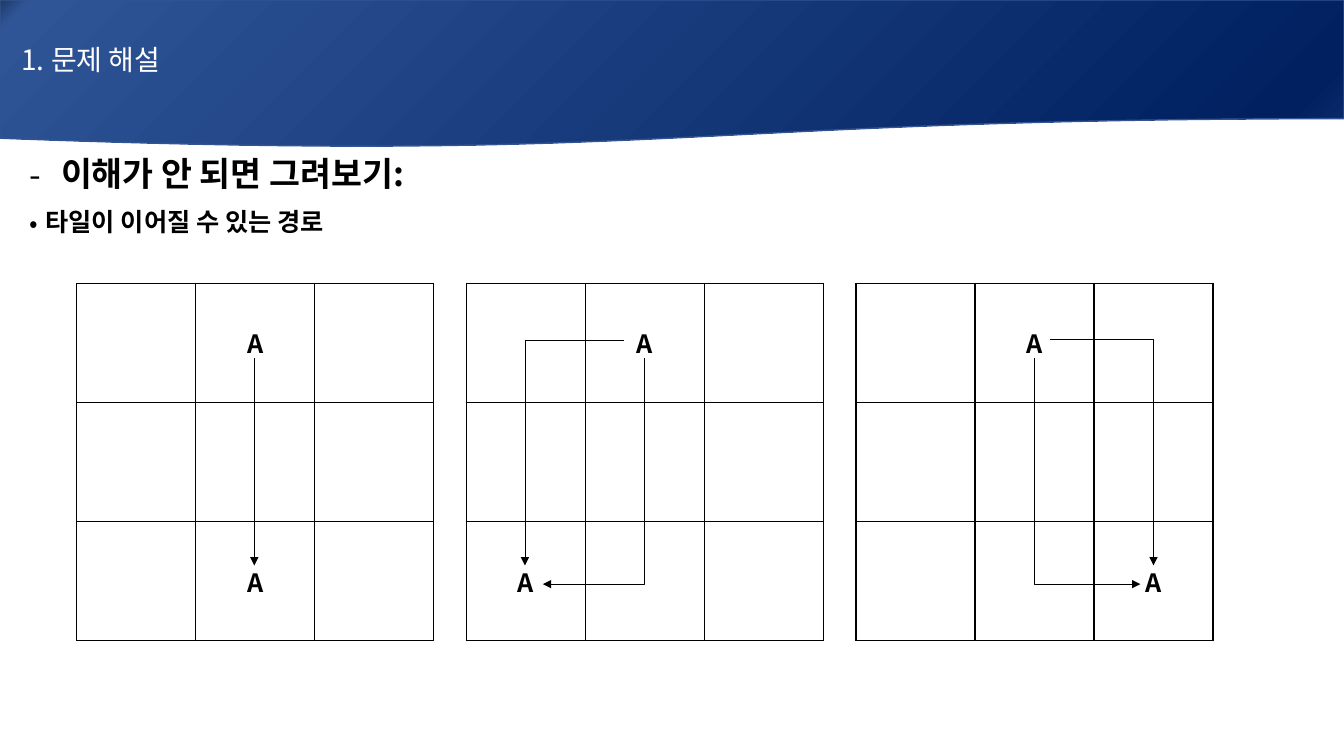
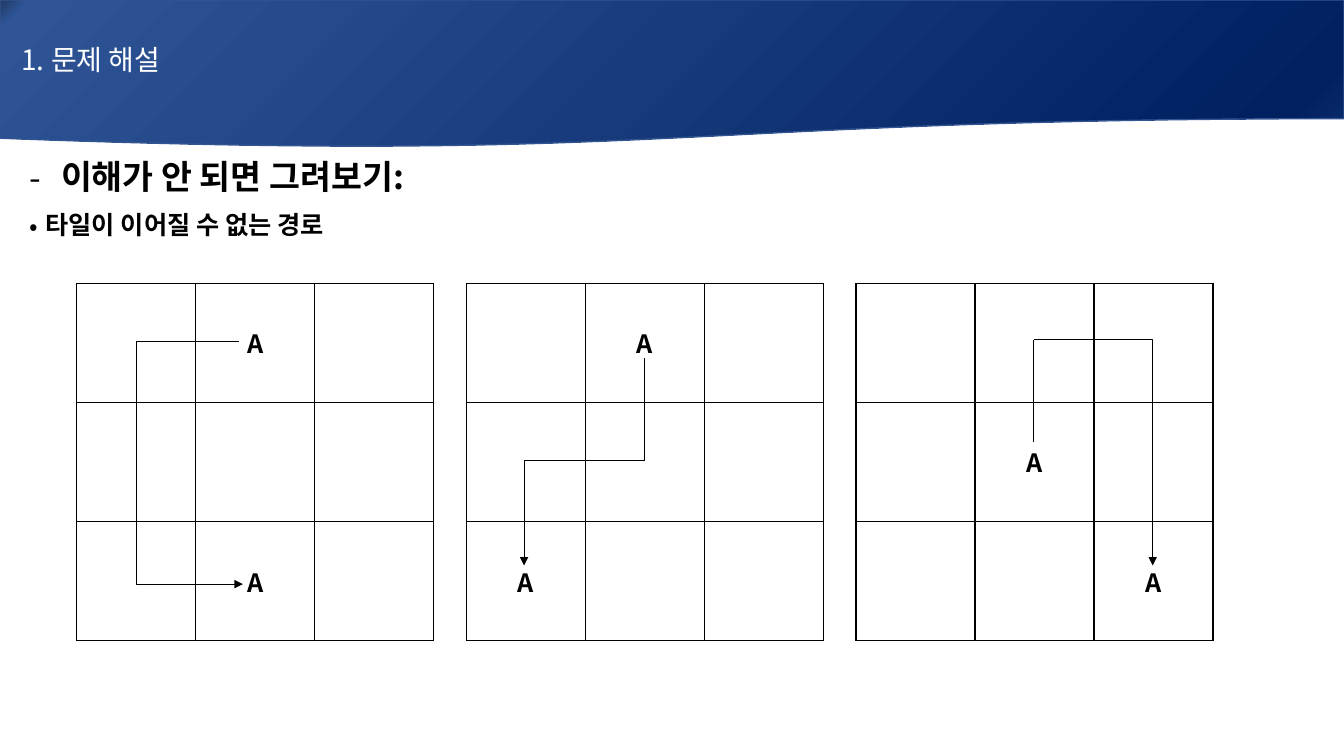
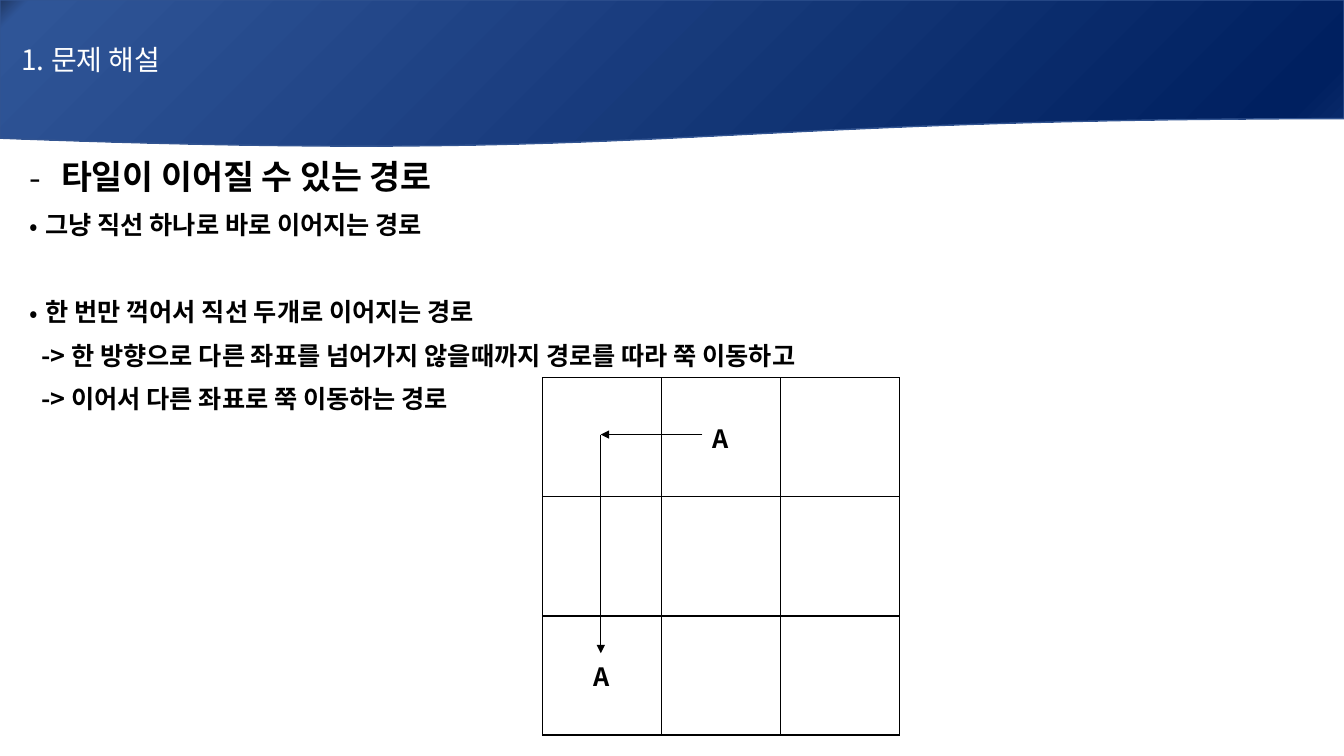
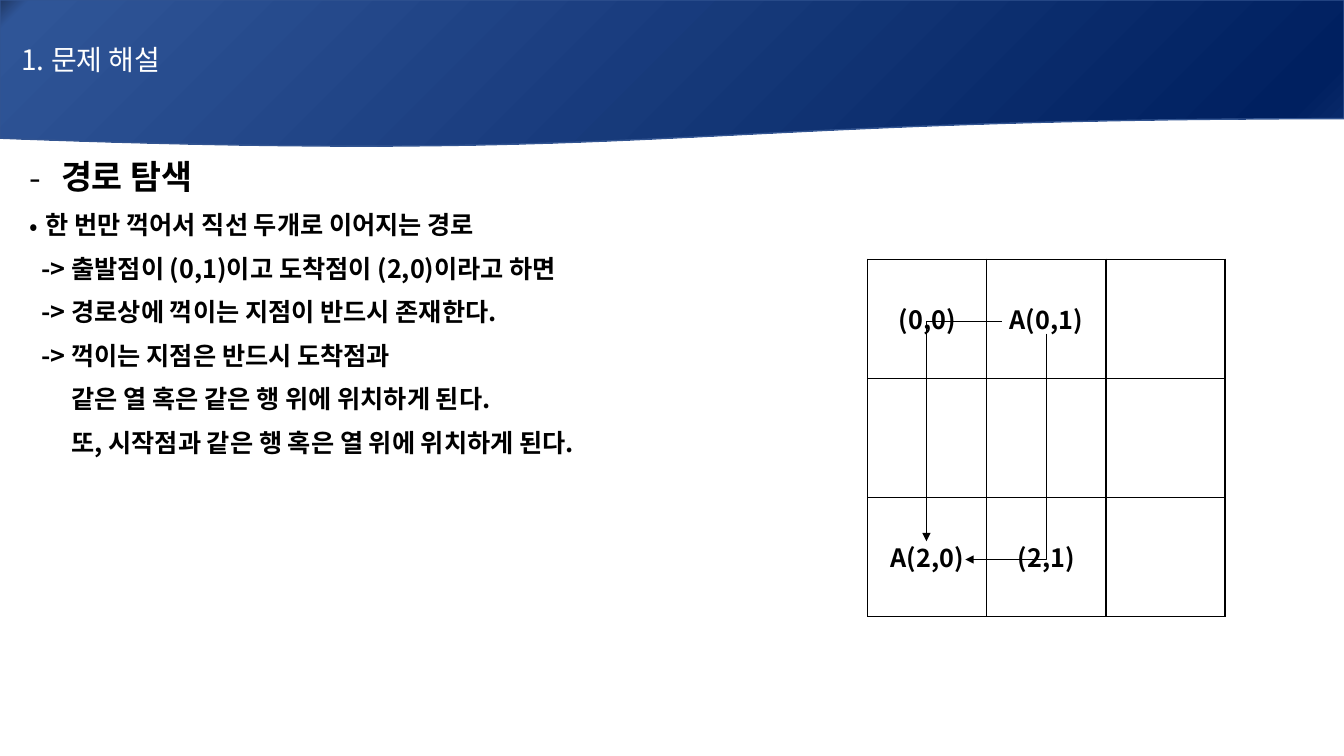
from lxml import etree
from pptx import Presentation
from pptx.dml.color import RGBColor
from pptx.enum.shapes import MSO_CONNECTOR, MSO_SHAPE
from pptx.enum.text import MSO_ANCHOR, PP_ALIGN
from pptx.oxml.ns import qn
from pptx.util import Cm, Pt

STRAIGHT, ELBOW = MSO_CONNECTOR.STRAIGHT, MSO_CONNECTOR.ELBOW
WAVE = MSO_SHAPE.FLOWCHART_DOCUMENT
MIDDLE = MSO_ANCHOR.MIDDLE
LEFT, CENTER, JUSTIFY = PP_ALIGN.LEFT, PP_ALIGN.CENTER, PP_ALIGN.JUSTIFY

FONT = "Noto Sans CJK KR"
BLACK, WHITE, BAND_EDGE = "000000", "FFFFFF", "325491"
BAND_STOPS = [(0, "203864"), (2, "2F5597"), (94, "002060"), (100, "0D2E6F")]
SLIDE_W, SLIDE_H = 33.87, 19.05
BAND_H, TITLE_H = 3.73, 3.0
CELL, CELLS = 3.0, 3
TRIO_LEFT, TRIO_TOP, TRIO_PITCH = 1.93, 7.14, 9.82
TITLE = "1. 문제 해설"

LINE_STYLES = {
    "heading": {"size": 24, "margin": 0.79, "hang": 0.79, "bullet": "-"},
    "point": {"size": 18, "margin": 0.4, "hang": 0.4, "bullet": "•"},
    "step": {"size": 18, "margin": 0.3, "hang": 0, "bullet": None},
    "more": {"size": 18, "margin": 1.05, "hang": 0, "bullet": None},
}

A_TOP = {(0, 1): "A"}
A_BOTTOM_LEFT = {**A_TOP, (2, 0): "A"}
A_BOTTOM_MID = {**A_TOP, (2, 1): "A"}
A_BOTTOM_RIGHT = {**A_TOP, (2, 2): "A"}

LINKED = [
    (A_BOTTOM_MID, [("straight", 4.48, 1.88, 4.48, 7.11, True)]),
    (A_BOTTOM_LEFT, [("down", 4.5, 1.88, 1.93, 7.58, True),
                     ("across", 3.97, 1.45, 1.48, 7.11, True)]),
    (A_BOTTOM_RIGHT, [("down", 4.5, 1.88, 7.17, 7.58, True),
                      ("across", 4.88, 1.42, 7.5, 7.11, True)]),
]
UNLINKED = [
    (A_BOTTOM_MID, [("straight", 4.09, 1.45, 1.5, 1.45, False),
                    ("down", 1.5, 1.45, 4.19, 7.58, True)]),
    (A_BOTTOM_LEFT, [("straight", 4.5, 1.88, 4.5, 4.47, False),
                     ("across", 4.5, 4.47, 1.46, 7.11, True)]),
    ({(1, 1): "A", (2, 2): "A"}, [("straight", 4.48, 3.99, 4.48, 1.42, False),
                                  ("across", 4.48, 1.42, 7.48, 7.11, True)]),
]
ONE_TURN = (A_BOTTOM_LEFT, [("straight", 1.47, 1.43, 1.47, 6.94, True),
                            ("straight", 4.03, 1.43, 1.47, 1.43, True)])
COORDINATES = (
    {(0, 0): "(0,0)", (0, 1): "A(0,1)", (2, 0): "A(2,0)", (2, 1): "(2,1)"},
    [("down", 4.5, 1.88, 2.46, 7.57, True),
     ("across", 3.38, 1.56, 1.48, 7.11, True)],
)


def rgb(hex_code):
    """Turn a hex string into a colour."""
    return RGBColor.from_string(hex_code)


def add(parent, tag, **attributes):
    """Append a drawing element to its parent."""
    child = etree.SubElement(parent, qn(tag))
    for key, value in attributes.items():
        child.set(key, str(value))
    return child


def add_solid(parent, hex_code):
    """Append a solid fill."""
    add(add(parent, "a:solidFill"), "a:srgbClr", val=hex_code)


def write(paragraph, text, size, color=BLACK, bold=True):
    """Write one styled run into a paragraph."""
    run = paragraph.add_run()
    run.text = text
    formats = {"size": Pt(size), "bold": bold, "name": FONT}
    for key, value in formats.items():
        setattr(run.font, key, value)
    run.font.color.rgb = rgb(color)
    add(run.font._element, "a:ea", typeface=FONT)


def add_band(slide):
    """Draw the wave band and set the title upon it."""
    band = slide.shapes.add_shape(WAVE, 0, 0, Cm(SLIDE_W), Cm(BAND_H))
    band.shadow.inherit = False
    outline = band.element.spPr.find(qn("a:prstGeom"))
    gradient = etree.Element(qn("a:gradFill"), rotWithShape="1")
    stops = add(gradient, "a:gsLst")
    for percent, color in BAND_STOPS:
        add(add(stops, "a:gs", pos=percent * 1000), "a:srgbClr", val=color)
    add(gradient, "a:lin", ang=45 * 60000, scaled=0)
    outline.addnext(gradient)
    band.line.color.rgb = rgb(BAND_EDGE)
    band.line.width = Pt(1)

    title = slide.shapes.title
    place = {"left": 0, "top": 0, "width": Cm(SLIDE_W), "height": Cm(TITLE_H)}
    for key, value in place.items():
        setattr(title, key, value)
    frame = title.text_frame
    frame.vertical_anchor = MIDDLE
    frame.margin_left = Cm(0.54)
    frame.paragraphs[0].alignment = LEFT
    write(frame.paragraphs[0], TITLE, 20, WHITE, False)
    band.element.addnext(title.element)


def add_explanation(slide, top, height, lines):
    """Write the heading and its points; each line is style, text, space before."""
    box = slide.shapes.add_textbox(Cm(0.5), Cm(top), Cm(30.35), Cm(height))
    frame = box.text_frame
    frame.word_wrap = True
    for index, (style_name, text, before) in enumerate(lines):
        style = LINE_STYLES[style_name]
        paragraph = frame.add_paragraph() if index else frame.paragraphs[0]
        properties = paragraph._p.get_or_add_pPr()
        properties.set("marL", str(Cm(style["margin"])))
        properties.set("indent", str(-Cm(style["hang"])))
        if style["bullet"]:
            add(properties, "a:buFont", typeface=FONT)
            add(properties, "a:buChar", char=style["bullet"])
        formats = {"alignment": JUSTIFY, "line_spacing": 1.07, "space_after": Pt(8)}
        if before:
            formats["space_before"] = Pt(before)
        for key, value in formats.items():
            setattr(paragraph, key, value)
        write(paragraph, text, style["size"])


def format_cell(cell, text):
    """Give a grid cell its borders, fill and label."""
    properties = cell._tc.get_or_add_tcPr()
    for side in ("a:lnL", "a:lnR", "a:lnT", "a:lnB"):
        add_solid(add(properties, side, w=Pt(1)), BLACK)
    cell.fill.solid()
    cell.fill.fore_color.rgb = rgb(WHITE)
    cell.vertical_anchor = MIDDLE
    if text:
        paragraph = cell.text_frame.paragraphs[0]
        paragraph.alignment = CENTER
        write(paragraph, text, 18)


def add_route(slide, left, top, route):
    """Draw one route, with the grid corner as its origin."""
    turn, x1, y1, x2, y2, arrow = route
    kind = STRAIGHT if turn == "straight" else ELBOW
    ends = (Cm(left + x1), Cm(top + y1), Cm(left + x2), Cm(top + y2))
    line = slide.shapes.add_connector(kind, *ends)
    line.line.color.rgb = rgb(BLACK)
    line.line.width = Pt(0.5)
    properties = line.element.spPr
    if kind == ELBOW:
        guides = properties.find(qn("a:prstGeom")).get_or_add_avLst()
        bend = 100000 if turn == "across" else 0
        add(guides, "a:gd", name="adj1", fmla=f"val {bend}")
    if arrow:
        add(properties.find(qn("a:ln")), "a:tailEnd", type="triangle")
    add(properties, "a:effectLst")


def add_grid(slide, left, top, labels, routes):
    """Place a tile grid with its labels and routes."""
    side = Cm(CELL * CELLS)
    grid = slide.shapes.add_table(CELLS, CELLS, Cm(left), Cm(top), side, side).table
    grid.first_row = False
    grid.horz_banding = False
    for index in range(CELLS):
        grid.columns[index].width = Cm(CELL)
        grid.rows[index].height = Cm(CELL)
        for column in range(CELLS):
            format_cell(grid.cell(index, column), labels.get((index, column)))
    for route in routes:
        add_route(slide, left, top, route)


def add_page(deck, top, height, lines, grids):
    """Build one slide; each grid is left, top, labels, routes."""
    slide = deck.slides.add_slide(deck.slide_layouts[5])
    add_explanation(slide, top, height, lines)
    add_band(slide)
    for grid in grids:
        add_grid(slide, *grid)


def trio(grids):
    """Place grids side by side at an equal pitch."""
    return [(TRIO_LEFT + TRIO_PITCH * index, TRIO_TOP, *grid)
            for index, grid in enumerate(grids)]


def main():
    """Build and save the deck."""
    deck = Presentation()
    deck.slide_width, deck.slide_height = Cm(SLIDE_W), Cm(SLIDE_H)
    draw_it = ("heading", "이해가 안 되면 그려보기:", 0)
    add_page(deck, 3.66, 2.39, [
        draw_it,
        ("point", "타일이 이어질 수 있는 경로", 0),
    ], trio(LINKED))
    add_page(deck, 3.73, 2.39, [
        draw_it,
        ("point", "타일이 이어질 수 없는 경로", 0),
    ], trio(UNLINKED))
    add_page(deck, 3.73, 7.95, [
        ("heading", "타일이 이어질 수 있는 경로", 0),
        ("point", "그냥 직선 하나로 바로 이어지는 경로", 0),
        ("point", "한 번만 꺽어서 직선 두개로 이어지는 경로", 31),
        ("step", "-> 한 방향으로 다른 좌표를 넘어가지 않을때까지 경로를 따라 쭉 이동하고", 0),
        ("step", "-> 이어서 다른 좌표로 쭉 이동하는 경로", 0),
    ], [(13.67, 9.52, *ONE_TURN)])
    add_page(deck, 3.73, 7.95, [
        ("heading", "경로 탐색", 0),
        ("point", "한 번만 꺽어서 직선 두개로 이어지는 경로", 0),
        ("step", "-> 출발점이 (0,1)이고 도착점이 (2,0)이라고 하면", 0),
        ("step", "-> 경로상에 꺽이는 지점이 반드시 존재한다.", 0),
        ("step", "-> 꺽이는 지점은 반드시 도착점과", 0),
        ("more", "같은 열 혹은 같은 행 위에 위치하게 된다.", 0),
        ("more", "또, 시작점과 같은 행 혹은 열 위에 위치하게 된다.", 0),
    ], [(21.87, 6.53, *COORDINATES)])
    deck.save("out.pptx")


if __name__ == "__main__":
    main()
